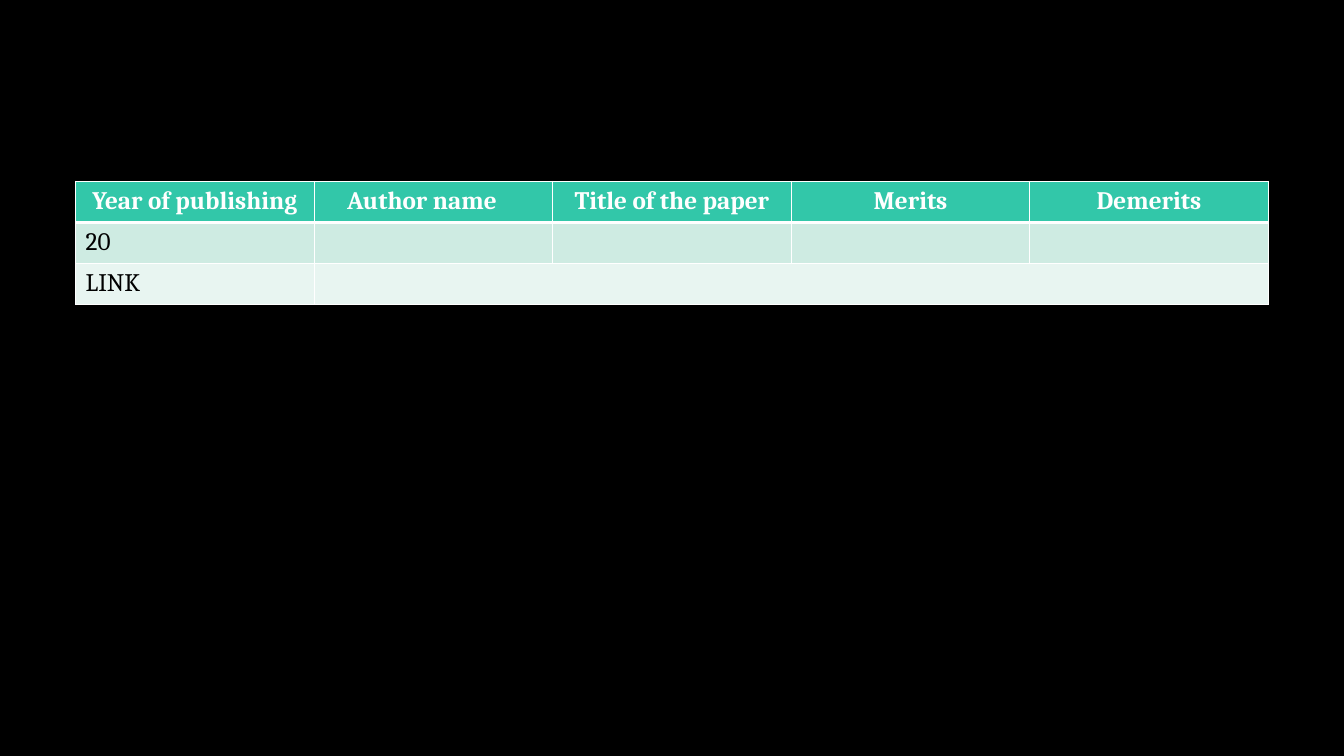
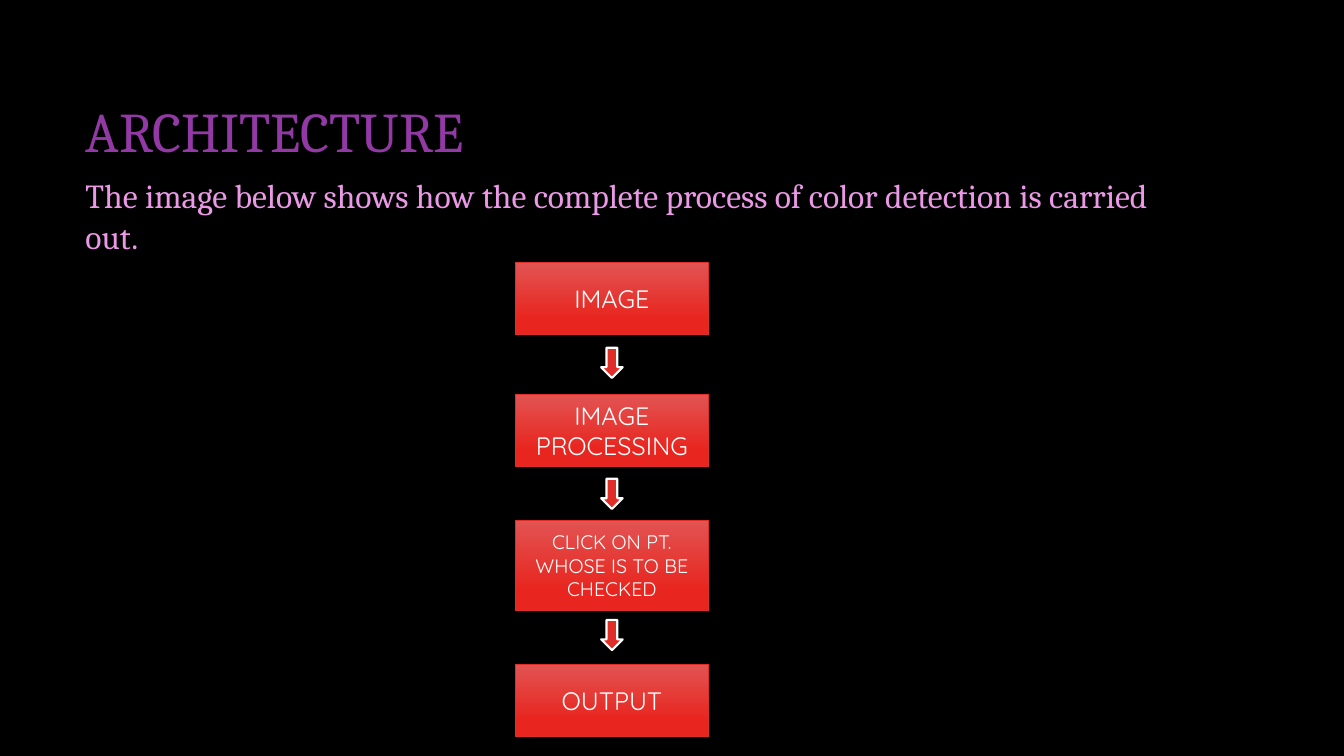
from lxml.etree import SubElement
from pptx import Presentation
from pptx.dml.color import RGBColor
from pptx.enum.shapes import MSO_SHAPE
from pptx.enum.text import MSO_ANCHOR, PP_ALIGN
from pptx.oxml.ns import qn
from pptx.util import Pt

COLORS = {
    "back": "000000", "white": "FFFFFF", "black": "000000",
    "head": "32C7A9", "band": "CEEBE2", "pale": "E8F5F1",
    "title": "9339A5", "intro": "EB99E7",
    "light": "E25452", "deep": "E8251F", "red": "DF2E28",
}
SERIF, SANS = "Cambria", "Quicksand"
LEFT = 54

ROWS = [
    ["Year of publishing", "Author name", "Title of the paper", "Merits", "Demerits"],
    ["20", "", "", "", ""],
    ["LINK", "", "", "", ""],
]
ROW_FILLS = ["head", "band", "pale"]
TABLE_TOP, COL_WIDTH, ROW_HEIGHT = 129.6, 170.4, 29.3
AUTHOR_INSET = 23.6

TITLE = "ARCHITECTURE"
INTRO = "The image below shows how the complete process of color detection is carried out."
# text, top, height, text size
STEPS = [
    ("IMAGE", 187.7, 51.5, 18),
    ("IMAGE PROCESSING", 281.5, 51.5, 18),
    ("CLICK ON PT. WHOSE IS TO BE CHECKED", 371.5, 64.8, 14),
    ("OUTPUT", 474.5, 51.5, 18),
]
ARROW_TOPS = [248.4, 342, 442.8]
STEP_LEFT, STEP_WIDTH = 368, 138.2
ARROW_WIDTH, ARROW_HEIGHT = 15.4, 21.6


def color(name):
    return RGBColor.from_string(COLORS[name])


def write(frame, text, font, size, tint, align=PP_ALIGN.LEFT, bold=False):
    frame.word_wrap = True
    para = frame.paragraphs[0]
    para.text = text
    para.alignment = align
    look = {"name": font, "size": Pt(size), "bold": bold}
    for key, value in look.items():
        setattr(para.font, key, value)
    para.font.color.rgb = color(tint)
    return para


def add_borders(cell, widths):
    """Draw white cell edges; widths run left, right, top, bottom."""
    props = cell._tc.get_or_add_tcPr()
    for index, (side, width) in enumerate(zip("LRTB", widths)):
        line = SubElement(props, qn(f"a:ln{side}"), w=str(Pt(width)))
        fill = SubElement(line, qn("a:solidFill"))
        SubElement(fill, qn("a:srgbClr"), val=COLORS["white"])
        props.insert(index, line)


def add_box(slide, kind, left, top, width, height, line, weight):
    shape = slide.shapes.add_shape(kind, Pt(left), Pt(top), Pt(width), Pt(height))
    shape.shadow.inherit = False
    shape.line.color.rgb = color(line)
    shape.line.width = Pt(weight)
    return shape


def add_papers(prs):
    slide = prs.slides.add_slide(prs.slide_layouts[6])
    count = len(ROWS[0])
    table = slide.shapes.add_table(
        len(ROWS), count, Pt(LEFT), Pt(TABLE_TOP),
        Pt(COL_WIDTH * count), Pt(ROW_HEIGHT * len(ROWS))).table
    for col in table.columns:
        col.width = Pt(COL_WIDTH)
    for r, texts in enumerate(ROWS):
        table.rows[r].height = Pt(ROW_HEIGHT)
        head = r == 0
        for c, text in enumerate(texts):
            cell = table.cell(r, c)
            cell.fill.solid()
            cell.fill.fore_color.rgb = color(ROW_FILLS[r])
            add_borders(cell, (1, 1, 3 if r == 1 else 1, 3 if head else 1))
            write(cell.text_frame, text, SERIF, 18, "white" if head else "black",
                  PP_ALIGN.CENTER if head else PP_ALIGN.LEFT, head)
    table.cell(0, 1).margin_right = Pt(AUTHOR_INSET)
    table.cell(2, 1).merge(table.cell(2, count - 1))


def add_flow(prs):
    slide = prs.slides.add_slide(prs.slide_layouts[5])
    title = slide.shapes.title
    place = {"left": LEFT, "top": 45.4, "width": 678, "height": 101.5}
    for key, value in place.items():
        setattr(title, key, Pt(value))
    title.text_frame.vertical_anchor = MSO_ANCHOR.MIDDLE
    write(title.text_frame, TITLE, SERIF, 40, "title").line_spacing = 0.9

    intro = slide.shapes.add_textbox(Pt(LEFT), Pt(121.7), Pt(781), Pt(65.5))
    write(intro.text_frame, INTRO, SERIF, 24, "intro")

    for text, top, height, size in STEPS:
        box = add_box(slide, MSO_SHAPE.RECTANGLE, STEP_LEFT, top,
                      STEP_WIDTH, height, "red", 0.75)
        box.fill.gradient()
        box.fill.gradient_angle = 270
        stops = [(0, "light"), (0.78, "deep")]
        for stop, (spot, tint) in zip(box.fill.gradient_stops, stops):
            stop.position = spot
            stop.color.rgb = color(tint)
        box.text_frame.vertical_anchor = MSO_ANCHOR.MIDDLE
        write(box.text_frame, text, SANS, size, "white", PP_ALIGN.CENTER)

    arrow_left = STEP_LEFT + (STEP_WIDTH - ARROW_WIDTH) / 2
    for top in ARROW_TOPS:
        arrow = add_box(slide, MSO_SHAPE.DOWN_ARROW, arrow_left, top,
                        ARROW_WIDTH, ARROW_HEIGHT, "white", 1.5)
        arrow.fill.solid()
        arrow.fill.fore_color.rgb = color("red")


def main():
    prs = Presentation()
    prs.slide_width, prs.slide_height = Pt(960), Pt(540)
    back = prs.slide_master.background.fill
    back.solid()
    back.fore_color.rgb = color("back")
    add_papers(prs)
    add_flow(prs)
    prs.save("out.pptx")


if __name__ == "__main__":
    main()
